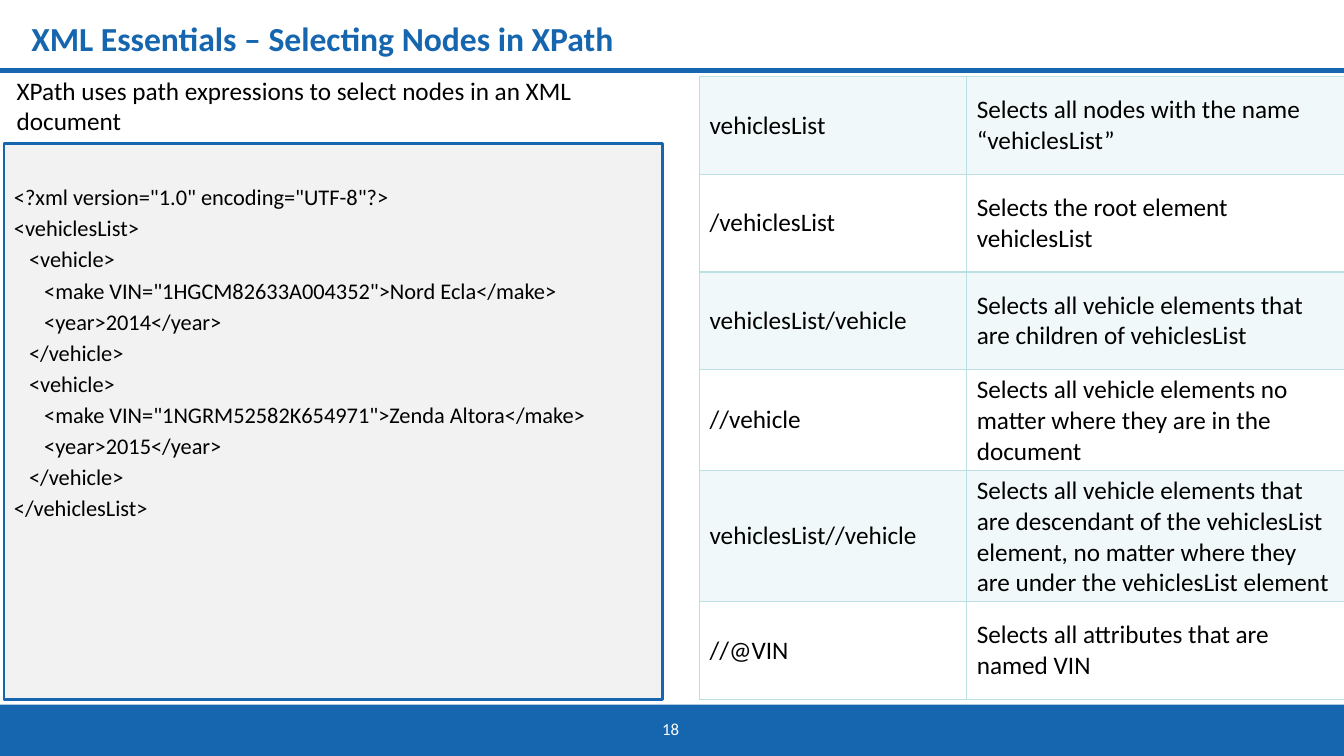
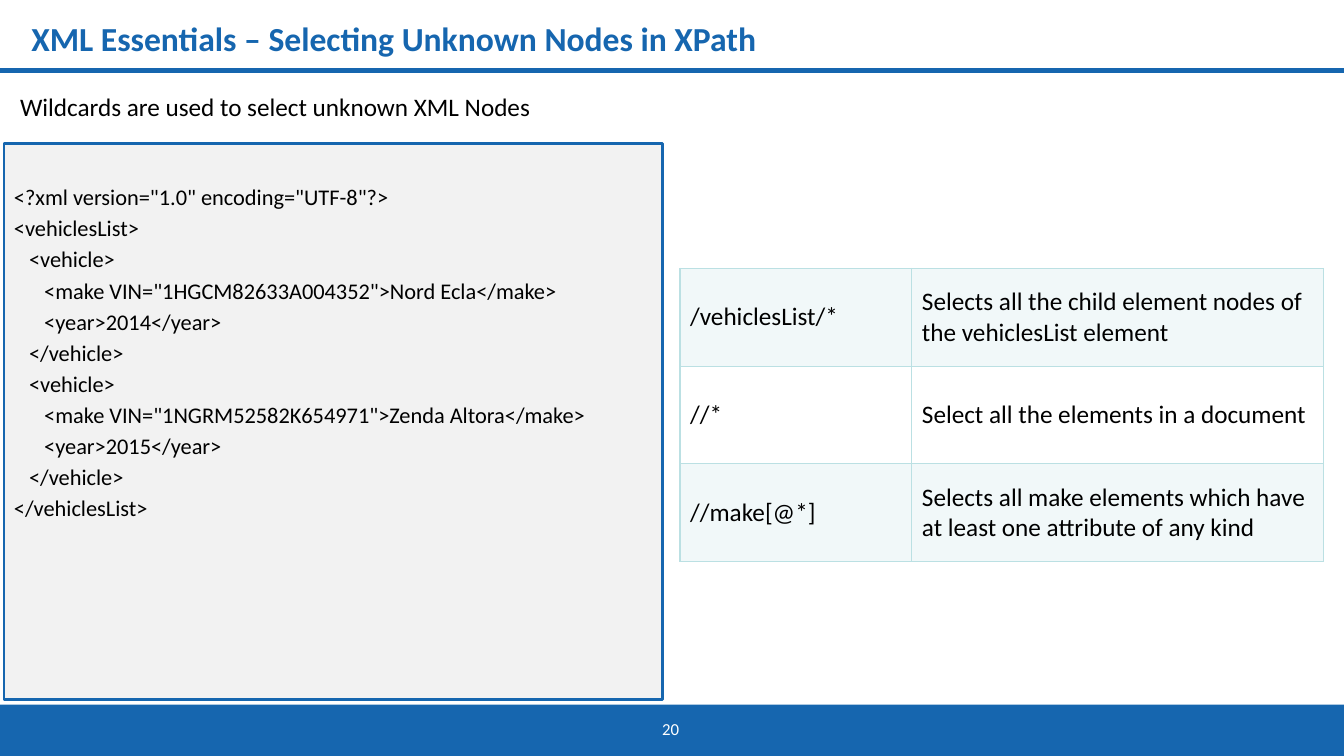
from dataclasses import dataclass

from lxml.etree import SubElement
from pptx import Presentation
from pptx.dml.color import RGBColor
from pptx.enum.shapes import MSO_CONNECTOR as Connector, MSO_SHAPE as Preset
from pptx.enum.text import MSO_ANCHOR as Anchor, PP_ALIGN as Align
from pptx.oxml.ns import qn
from pptx.util import Inches, Pt


@dataclass(frozen=True)
class Theme:
    font: str = "Calibri"
    blue: str = "1666AF"
    ice: str = "BBE0E3"
    gray: str = "F2F2F2"
    black: str = "000000"
    white: str = "FFFFFF"
    title_size: int = 24
    body_size: int = 18
    code_size: int = 16
    number_size: int = 12


theme = Theme()
presentation = Presentation()
presentation.slide_width = Inches(13.33)
presentation.slide_height = Inches(7.5)
column = presentation.slide_width / 100
row = presentation.slide_height / 100

VEHICLE_XML = """<?xml version="1.0" encoding="UTF-8"?>
<vehiclesList>
   <vehicle>
      <make VIN="1HGCM82633A004352">Nord Ecla</make>
      <year>2014</year>
   </vehicle>
   <vehicle>
      <make VIN="1NGRM52582K654971">Zenda Altora</make>
      <year>2015</year>
   </vehicle>
</vehiclesList>"""

PAGES = [
    {
        "number": "18",
        "title": "XML Essentials – Selecting Nodes in XPath",
        "intro": "XPath uses path expressions to select nodes in an XML document",
        "intro_area": (0.5, 9.33, 48.5, 9.5),
        "table_corner": (52.05, 10.13),
        "table_columns": (19.88, 28.1),
        "expressions": [
            ("vehiclesList", "Selects all nodes with the name “vehiclesList”"),
            ("/vehiclesList", "Selects the root element vehiclesList"),
            ("vehiclesList/vehicle", "Selects all vehicle elements that are children of vehiclesList"),
            ("//vehicle", "Selects all vehicle elements no matter where they are in the document"),
            ("vehiclesList//vehicle", "Selects all vehicle elements that are descendant of the vehiclesList "
                                      "element, no matter where they are under the vehiclesList element"),
            ("//@VIN", "Selects all attributes that are named VIN"),
        ],
    },
    {
        "number": "20",
        "title": "XML Essentials – Selecting Unknown Nodes in XPath",
        "intro": "Wildcards are used to select unknown XML Nodes",
        "intro_area": (0.75, 11.47, 48.5, 5.3),
        "table_corner": (50.6, 35.5),
        "table_columns": (17.25, 30.6),
        "expressions": [
            ("/vehiclesList/*", "Selects all the child element nodes of the vehiclesList element"),
            ("//*", "Select all the elements in a document"),
            ("//make[@*]", "Selects all make elements which have at least one attribute of any kind"),
        ],
    },
]
TABLE_ROW = 12.93


def area(left, top, width, height):
    return int(left * column), int(top * row), int(width * column), int(height * row)


def write(frame, text, size=theme.body_size, color=theme.black, bold=False,
          align=Align.LEFT, left=0.1, top=0.05, gap=0):
    frame.word_wrap = True
    frame.vertical_anchor = Anchor.TOP
    frame.margin_left, frame.margin_top = Inches(left), Inches(top)
    for index, line in enumerate(text.split("\n")):
        paragraph = frame.add_paragraph() if index else frame.paragraphs[0]
        paragraph.alignment = align
        paragraph.space_before = Pt(gap if index else 0)
        content = line.lstrip()
        depth = (len(line) - len(content)) // 3
        if depth:
            properties = paragraph._p.get_or_add_pPr()
            properties.set("marL", str(Inches(0.15 * depth)))
            properties.set("indent", "0")
        run = paragraph.add_run()
        run.text = content
        run.font.name = theme.font
        run.font.size = Pt(size)
        run.font.bold = bold
        run.font.color.rgb = RGBColor.from_string(color)


for page in PAGES:
    slide = presentation.slides.add_slide(presentation.slide_layouts[6])
    shapes = slide.shapes

    footer = shapes.add_shape(Preset.RECTANGLE, *area(0, 93.2, 100, 6.8))
    footer.shadow.inherit = False
    footer.fill.solid()
    footer.fill.fore_color.rgb = RGBColor.from_string(theme.blue)
    footer.line.fill.background()

    rule_y = int(9.33 * row)
    rule = shapes.add_connector(Connector.STRAIGHT, presentation.slide_width, rule_y, 0, rule_y)
    rule.line.color.rgb = RGBColor.from_string(theme.blue)
    rule.line.width = Pt(3)
    SubElement(rule._element.spPr, qn("a:effectLst"))

    number = shapes.add_textbox(*area(48.4, 94.4, 3, 4))
    write(number.text_frame, page["number"], size=theme.number_size, color=theme.white, align=Align.CENTER)

    title = shapes.add_textbox(*area(2.33, 1.73, 92, 11.6))
    write(title.text_frame, page["title"], size=theme.title_size, color=theme.blue, bold=True, left=0)

    expressions = page["expressions"]
    table_area = area(*page["table_corner"], sum(page["table_columns"]), TABLE_ROW * len(expressions))
    table = shapes.add_table(len(expressions), 2, *table_area).table
    table.first_row = table.horz_banding = False
    for table_column, width in zip(table.columns, page["table_columns"]):
        table_column.width = int(width * column)
    for row_index, texts in enumerate(expressions):
        table.rows[row_index].height = int(TABLE_ROW * row)
        for column_index, text in enumerate(texts):
            cell = table.cell(row_index, column_index)
            write(cell.text_frame, text)
            cell.vertical_anchor = Anchor.MIDDLE
            properties = cell._tc.get_or_add_tcPr()
            for side in ("a:lnL", "a:lnR", "a:lnT", "a:lnB"):
                border = SubElement(properties, qn(side), w=str(Pt(1)))
                SubElement(SubElement(border, qn("a:solidFill")), qn("a:srgbClr"), val=theme.ice)
            if row_index % 2:
                cell.fill.background()
            else:
                cell.fill.solid()
                cell.fill.fore_color.rgb = RGBColor.from_string(theme.ice)
                tint = properties.find(qn("a:solidFill")).find(qn("a:srgbClr"))
                SubElement(tint, qn("a:alpha"), val="20000")

    intro = shapes.add_textbox(*area(*page["intro_area"]))
    write(intro.text_frame, page["intro"])

    code = shapes.add_shape(Preset.RECTANGLE, *area(0.3, 18.93, 49, 73.6))
    code.shadow.inherit = False
    code.fill.solid()
    code.fill.fore_color.rgb = RGBColor.from_string(theme.gray)
    code.line.color.rgb = RGBColor.from_string(theme.blue)
    code.line.width = Pt(2)
    write(code.text_frame, VEHICLE_XML, size=theme.code_size, top=0.4, gap=3)

presentation.save("out.pptx")
